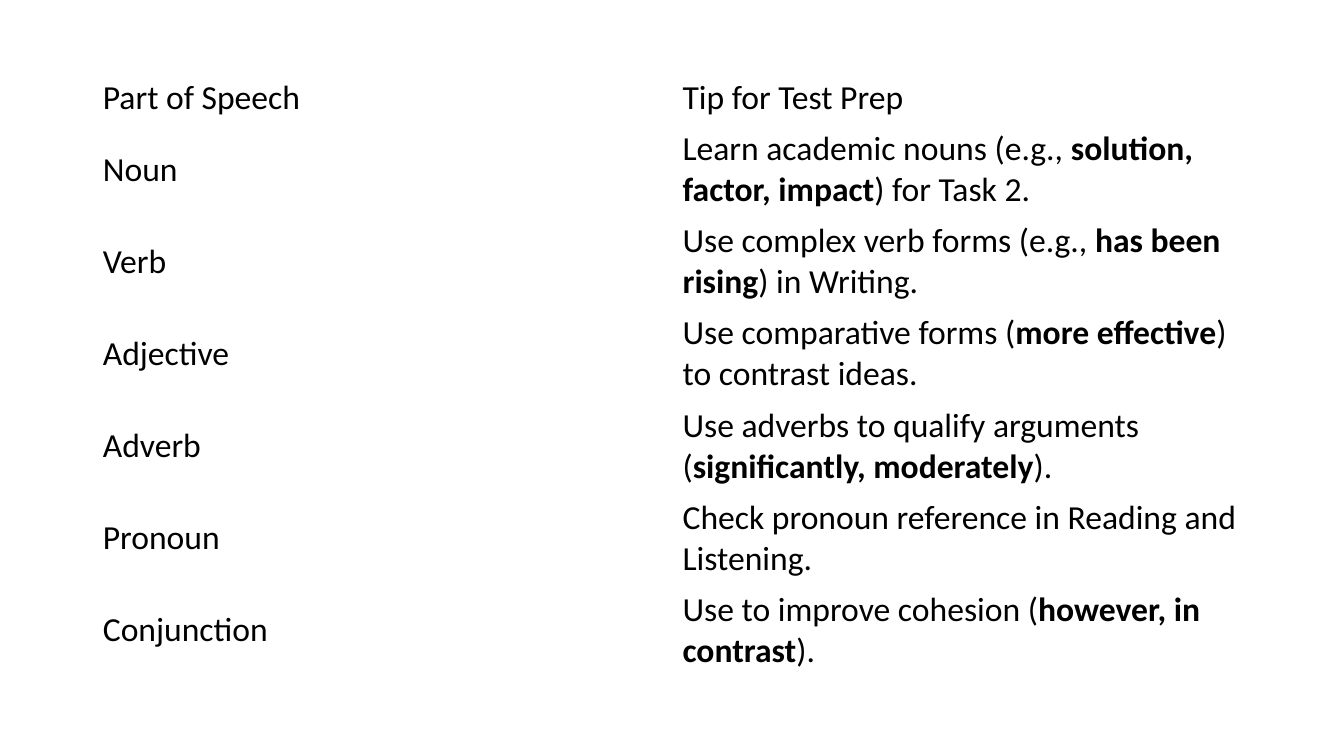
from pptx import Presentation
from pptx.dml.color import RGBColor
from pptx.enum.text import MSO_ANCHOR
from pptx.util import Inches, Pt

MIDDLE = MSO_ANCHOR.MIDDLE
COLOURS = {"text": "000000"}
TEXT_FORMAT = {"name": "Calibri", "size": Pt(24)}
PLAIN_TABLE = {"first_row": False, "horz_banding": False}

# Each tip is a list of spans, alternating between regular and bold
TIPS = [
    ("Part of Speech", ["Tip for Test Prep"]),
    ("Noun", ["Learn academic nouns (e.g., ", "solution, factor, impact", ") for Task 2."]),
    ("Verb", ["Use complex verb forms (e.g., ", "has been rising", ") in Writing."]),
    ("Adjective", ["Use comparative forms (", "more effective", ") to contrast ideas."]),
    ("Adverb", ["Use adverbs to qualify arguments (", "significantly, moderately", ")."]),
    ("Pronoun", ["Check pronoun reference in Reading and Listening."]),
    ("Conjunction", ["Use to improve cohesion (", "however, in contrast", ")."]),
]
HEADER_HEIGHT = 0.5


def fill_cell(cell, spans):
    """Write regular and bold spans into an unfilled cell."""
    cell.fill.background()
    cell.vertical_anchor = MIDDLE
    para = cell.text_frame.paragraphs[0]
    for index, text in enumerate(spans):
        span = para.add_run()
        span.text = text
        for key, value in TEXT_FORMAT.items():
            setattr(span.font, key, value)
        span.font.bold = index % 2 == 1
        span.font.color.rgb = RGBColor.from_string(COLOURS["text"])


def add_tips_table(page, left, top, width, height):
    """Place the two-column table of tips in the given box."""
    box = page.shapes.add_table(
        len(TIPS), 2, Inches(left), Inches(top), Inches(width), Inches(height))
    table = box.table
    for key, value in PLAIN_TABLE.items():
        setattr(table, key, value)

    # Equal columns, and equal rows below a shorter header
    for column in table.columns:
        column.width = Inches(width / 2)
    tip_height = (height - HEADER_HEIGHT) / (len(TIPS) - 1)
    for index, (part, tip) in enumerate(TIPS):
        table.rows[index].height = Inches(tip_height if index else HEADER_HEIGHT)
        fill_cell(table.cell(index, 0), [part])
        fill_cell(table.cell(index, 1), tip)


def main():
    deck = Presentation()
    deck.slide_width = Inches(13.33)
    deck.slide_height = Inches(7.5)
    page = deck.slides.add_slide(deck.slide_layouts[6])
    add_tips_table(page, 0.92, 0.72, 11.5, 5.9)
    deck.save("out.pptx")


if __name__ == "__main__":
    main()
